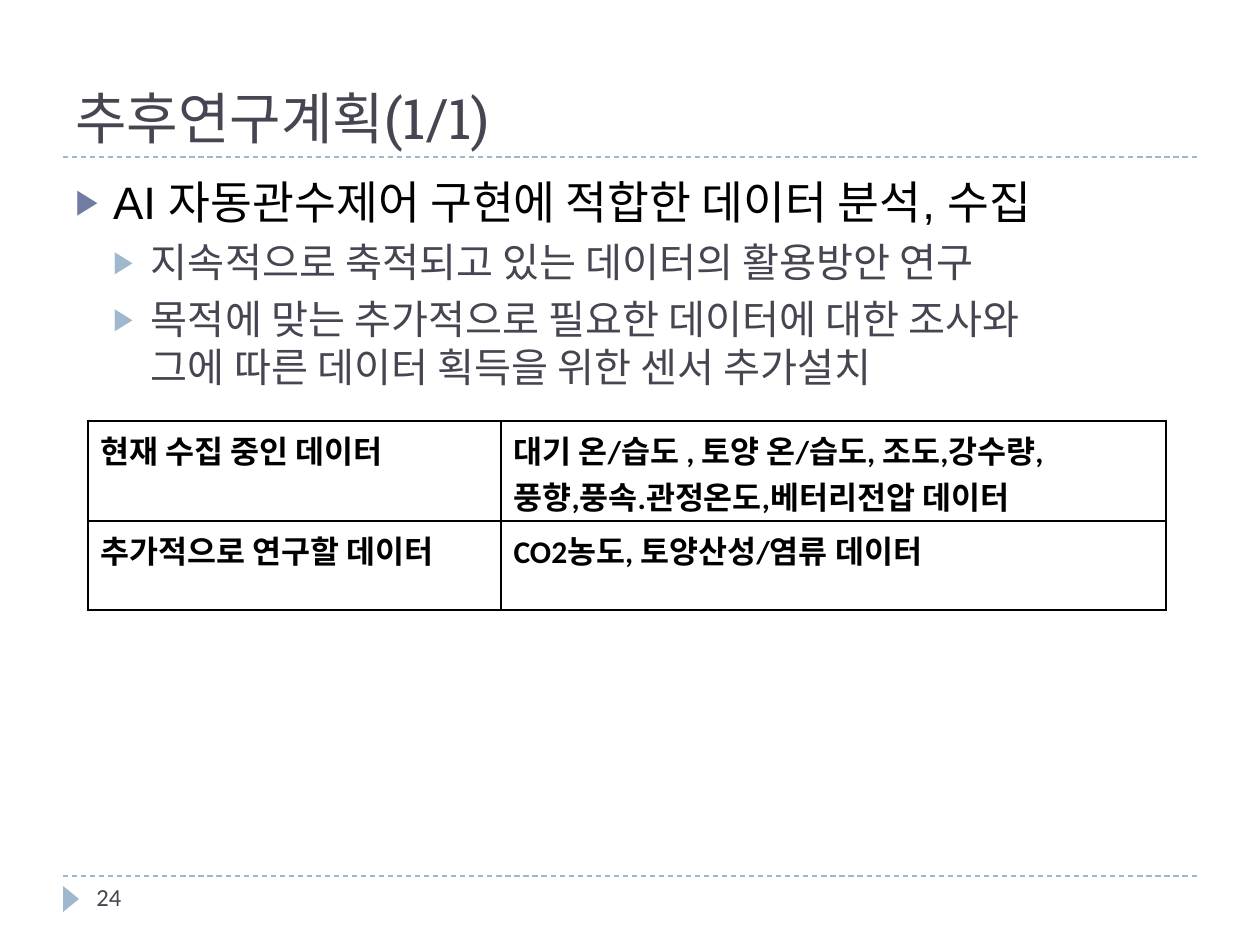
from lxml import etree
from pptx import Presentation
from pptx import util as u
from pptx.dml.color import RGBColor
from pptx.enum import dml, shapes, text
from pptx.oxml.ns import qn

BLACK, DARK, PALE, VIOLET = "000000", "464653", "9FB8CD", "727CA3"
ITEMS = [
    ("AI 자동관수제어 구현에 적합한 데이터 분석, 수집", 0),
    ("지속적으로 축적되고 있는 데이터의 활용방안 연구", 1),
    ("목적에 맞는 추가적으로 필요한 데이터에 대한 조사와\v"
     "그에 따른 데이터 획득을 위한 센서 추가설치", 1),
]
LEVELS = [(26, BLACK, VIOLET), (23, DARK, PALE)]
ROWS = [
    ("현재 수집 중인 데이터",
     "대기 온/습도 , 토양 온/습도, 조도,강수량,\n풍향,풍속.관정온도,베터리전압 데이터"),
    ("추가적으로 연구할 데이터", "CO2농도, 토양산성/염류 데이터"),
]


def px(n):
    return u.Emu(round(n * 914400 / 126))


def rgb(code):
    return RGBColor.from_string(code)


def style(para, size, face, color, bold=False):
    for run in para.runs:
        font = run.font
        font.size, font.name, font.bold = u.Pt(size), face, bold
        font.color.rgb = rgb(color)


def add_box(slide, *area):
    frame = slide.shapes.add_textbox(*map(px, area)).text_frame
    frame.word_wrap = True
    return frame


def add_label(slide, area, words, size, face, anchor):
    frame = add_box(slide, *area)
    frame.vertical_anchor = anchor
    frame.text = words
    style(frame.paragraphs[0], size, face, DARK)


def add_rule(slide, y):
    line = slide.shapes.add_connector(
        shapes.MSO_CONNECTOR.STRAIGHT, px(63), px(y), px(1197), px(y))
    line.line.color.rgb = rgb(PALE)
    line.line.width = u.Pt(0.75)
    line.line.dash_style = dml.MSO_LINE.DASH
    etree.SubElement(line._element.spPr, qn("a:effectLst"))


def add_mark(slide):
    mark = slide.shapes.add_shape(
        shapes.MSO_SHAPE.ISOSCELES_TRIANGLE, px(58), px(891), px(26), px(16))
    mark.rotation = 90
    mark.shadow.inherit = False
    mark.fill.solid()
    mark.fill.fore_color.rgb = rgb(PALE)
    mark.line.fill.background()


def add_bullet(para, color, level):
    props = para._p.get_or_add_pPr()
    indent = u.Inches(0.3)
    props.set("marL", str(indent * (level + 1)))
    props.set("indent", str(-indent))
    tint = etree.SubElement(props, qn("a:buClr"))
    etree.SubElement(tint, qn("a:srgbClr"), val=color)
    etree.SubElement(props, qn("a:buSzPct"), val="76000")
    etree.SubElement(props, qn("a:buFont"), typeface="Arial")
    etree.SubElement(props, qn("a:buChar"), char="▶")


def add_list(slide):
    frame = add_box(slide, 63, 168, 1134, 680)
    for i, (words, level) in enumerate(ITEMS):
        para = frame.add_paragraph() if i else frame.paragraphs[0]
        size, color, tint = LEVELS[level]
        para.text = words
        para.level = level
        add_bullet(para, tint, level)
        if i:
            para.space_before = u.Pt(5)
        style(para, size, "Arial", color)


def add_border(cell):
    props = cell._tc.get_or_add_tcPr()
    for i, side in enumerate(("lnL", "lnR", "lnT", "lnB")):
        line = etree.Element(qn("a:" + side), w=str(u.Pt(1)))
        fill = etree.SubElement(line, qn("a:solidFill"))
        etree.SubElement(fill, qn("a:srgbClr"), val=BLACK)
        props.insert(i, line)


def add_grid(slide):
    table = slide.shapes.add_table(
        2, 2, px(88), px(421), px(1078), px(189)).table
    table.first_row = table.horz_banding = False
    for col, width in zip(table.columns, (413, 665)):
        col.width = px(width)
    for row, height, words in zip(table.rows, (100, 89), ROWS):
        row.height = px(height)
        for cell, word in zip(row.cells, words):
            cell.text_frame.text = word
            cell.fill.background()
            add_border(cell)
            for para in cell.text_frame.paragraphs:
                style(para, 18, "Calibri", BLACK, True)


def main():
    deck = Presentation()
    deck.slide_width, deck.slide_height = px(1260), px(945)
    slide = deck.slides.add_slide(deck.slide_layouts[6])
    for y in (876, 157):
        add_rule(slide, y)
    add_mark(slide)
    add_label(slide, (63, 21, 1134, 136), "추후연구계획(1/1)", 32,
              "Roboto Slab", text.MSO_ANCHOR.BOTTOM)
    add_label(slide, (84, 876, 273, 50), "24", 14,
              "Calibri", text.MSO_ANCHOR.TOP)
    add_list(slide)
    add_grid(slide)
    deck.save("out.pptx")


if __name__ == "__main__":
    main()
